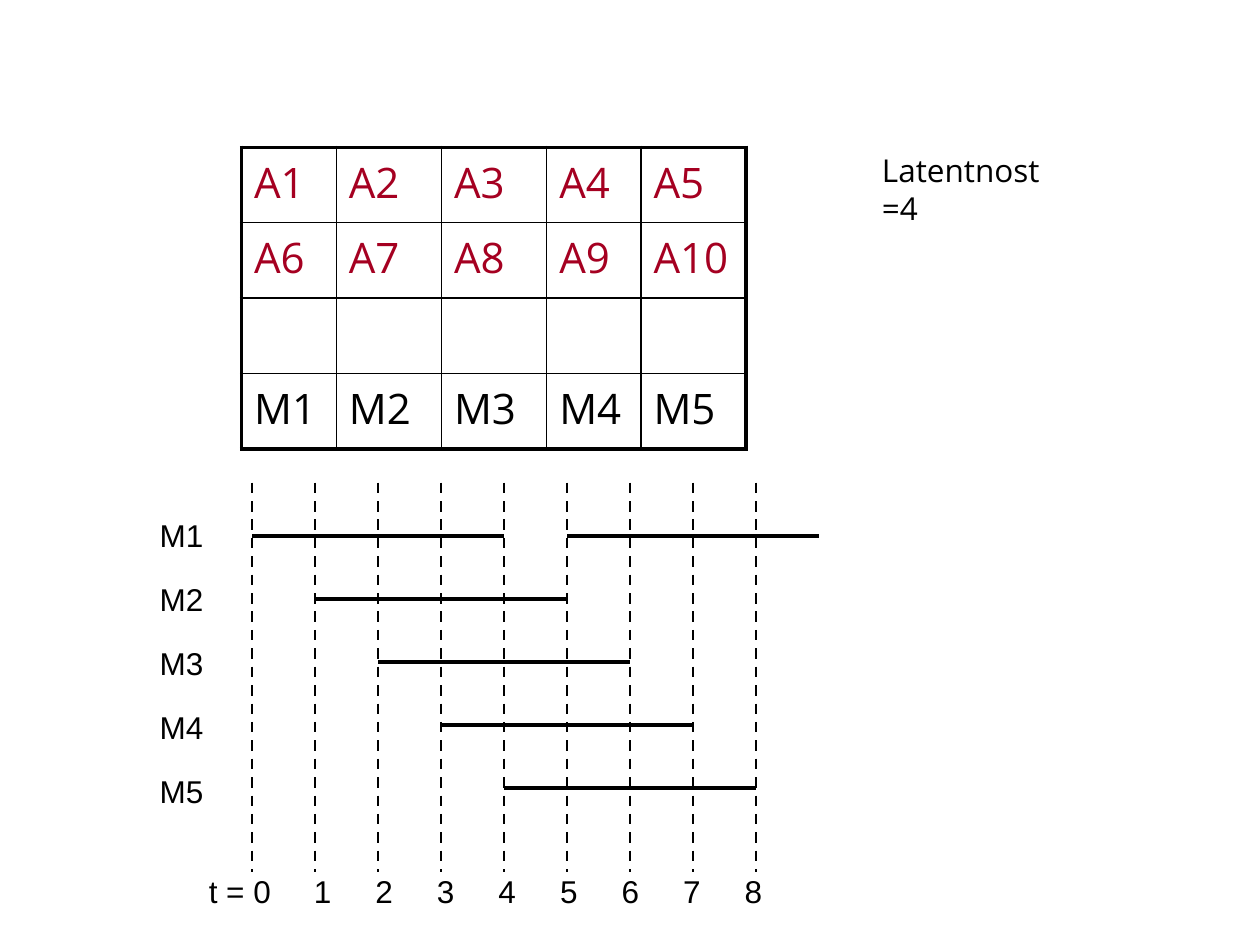
"""Builds the slide on interleaved memory modules and their access timing."""
from lxml import etree
from pptx import Presentation
from pptx.dml.color import RGBColor
from pptx.enum.dml import MSO_LINE
from pptx.enum.shapes import MSO_CONNECTOR
from pptx.enum.text import MSO_ANCHOR
from pptx.oxml.ns import qn
from pptx.util import Cm, Pt

STRAIGHT = MSO_CONNECTOR.STRAIGHT
DASH = MSO_LINE.DASH
BOTTOM = MSO_ANCHOR.BOTTOM
COLORS = {"ink": "000000", "address": "A50021"}
THICK, THIN, DASHED = 2.25, 1, 1.5
STEP = 1.27
ORIGIN_X, FIRST_BAR_Y = 5.08, 10.8
GRID_TOP, GRID_BOTTOM = 9.73, 17.58
LATENCY, TICKS = 4, 9
MODULES = [f"M{number}" for number in range(1, 6)]
ADDRESSES = [f"A{number}" for number in range(1, 11)]
COLUMN_WIDTHS = [1.91, 2.12, 2.12, 1.9, 2.12]
ROW_HEIGHT = 1.52


class SlideBuilder:
    """Holds the style and the current slide."""

    def __init__(self, slide, heading_font="Open Sans", label_font="Arial"):
        self.slide = slide
        self.heading_font = heading_font
        self.label_font = label_font

    def run(self, paragraph, text, font, size, color):
        run = paragraph.add_run()
        run.text = text
        run.font.name = font
        run.font.size = Pt(size)
        run.font.color.rgb = RGBColor.from_string(COLORS[color])

    def text(self, left, top, width, height, lines, font, spacing=None, tabs=()):
        box = self.slide.shapes.add_textbox(Cm(left), Cm(top), Cm(width), Cm(height))
        frame = box.text_frame
        frame.word_wrap = True
        frame.vertical_anchor = BOTTOM
        for index, line in enumerate(lines):
            paragraph = frame.add_paragraph() if index else frame.paragraphs[0]
            if spacing:
                paragraph.line_spacing = spacing
            self.run(paragraph, line, font, 18, "ink")
            if tabs:
                properties = paragraph._p.get_or_add_pPr()
                tab_list = etree.SubElement(properties, qn("a:tabLst"))
                for position in tabs:
                    etree.SubElement(tab_list, qn("a:tab"), pos=str(Cm(position)), algn="l")

    def line(self, start_x, start_y, end_x, end_y, width, dash=None):
        connector = self.slide.shapes.add_connector(
            STRAIGHT, Cm(start_x), Cm(start_y), Cm(end_x), Cm(end_y))
        connector.line.color.rgb = RGBColor.from_string(COLORS["ink"])
        connector.line.width = Pt(width)
        if dash:
            connector.line.dash_style = dash
        etree.SubElement(connector._element.spPr, qn("a:effectLst"))

    def border(self, cell, side, width):
        properties = cell._tc.get_or_add_tcPr()
        line = etree.SubElement(properties, qn(f"a:ln{side}"), w=str(Pt(width)))
        fill = etree.SubElement(line, qn("a:solidFill"))
        etree.SubElement(fill, qn("a:srgbClr"), val=COLORS["ink"])

    def table(self, left, top, widths, row_height, rows):
        shape = self.slide.shapes.add_table(
            len(rows), len(widths), Cm(left), Cm(top),
            Cm(sum(widths)), Cm(row_height * len(rows)))
        table = shape.table
        table.first_row = table.horz_banding = False
        for column, width in zip(table.columns, widths):
            column.width = Cm(width)
        last_row, last_column = len(rows) - 1, len(widths) - 1
        for row_index, (color, texts) in enumerate(rows):
            table.rows[row_index].height = Cm(row_height)
            for column_index, text in enumerate(texts):
                cell = table.cell(row_index, column_index)
                outer = {"L": column_index == 0, "R": column_index == last_column,
                         "T": row_index == 0, "B": row_index == last_row}
                for side, is_outer in outer.items():
                    self.border(cell, side, THICK if is_outer else THIN)
                cell.fill.background()
                if text:
                    self.run(cell.text_frame.paragraphs[0], text, self.heading_font, 24, color)


def main():
    presentation = Presentation()
    presentation.slide_width, presentation.slide_height = Cm(25.4), Cm(19.05)
    builder = SlideBuilder(presentation.slides.add_slide(presentation.slide_layouts[6]))

    builder.table(4.87, 2.97, COLUMN_WIDTHS, ROW_HEIGHT, [
        ("address", ADDRESSES[:5]),
        ("address", ADDRESSES[5:]),
        ("ink", [""] * 5),
        ("ink", MODULES),
    ])

    accesses = [(row, row) for row in range(len(MODULES))] + [(0, len(MODULES))]
    for row, start in accesses:
        left, y = ORIGIN_X + start * STEP, FIRST_BAR_Y + row * STEP
        builder.line(left, y, left + LATENCY * STEP, y, THICK)
    for tick in range(TICKS):
        x = ORIGIN_X + tick * STEP
        builder.line(x, GRID_TOP, x, GRID_BOTTOM, DASHED, DASH)

    builder.text(2.97, 9.73, 1.8, 6.73, MODULES, builder.label_font, spacing=1.7)
    time_axis = "t = " + "\t".join(str(tick) for tick in range(TICKS))
    tab_stops = [2.12 + 1.24 * index for index in range(TICKS - 1)]
    builder.text(3.96, 17.45, 12.6, 1.02, [time_axis], builder.label_font, tabs=tab_stops)
    builder.text(17.53, 3.68, 4.47, 1.02, ["Latentnost =4"], builder.heading_font)
    presentation.save("out.pptx")


if __name__ == "__main__":
    main()
